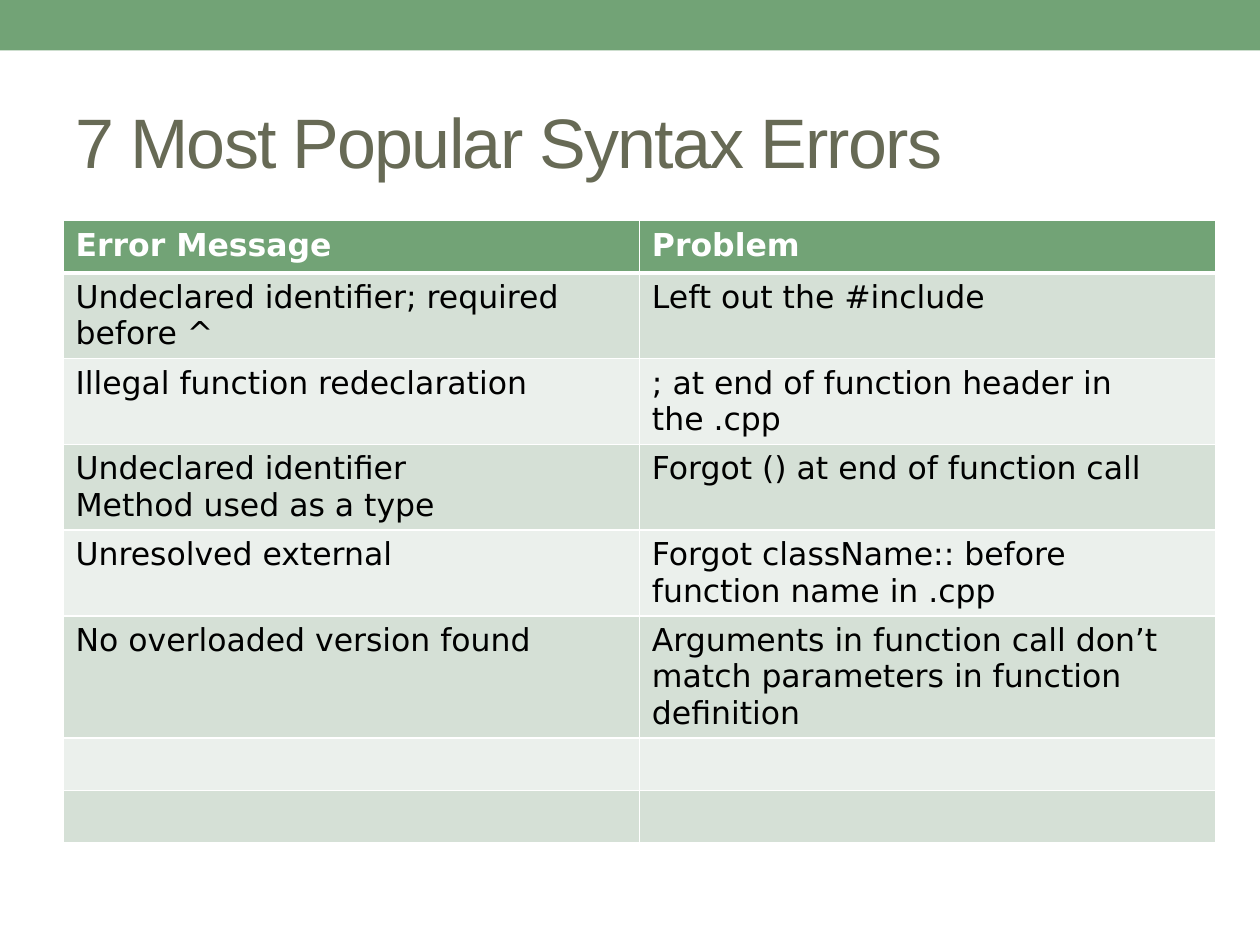
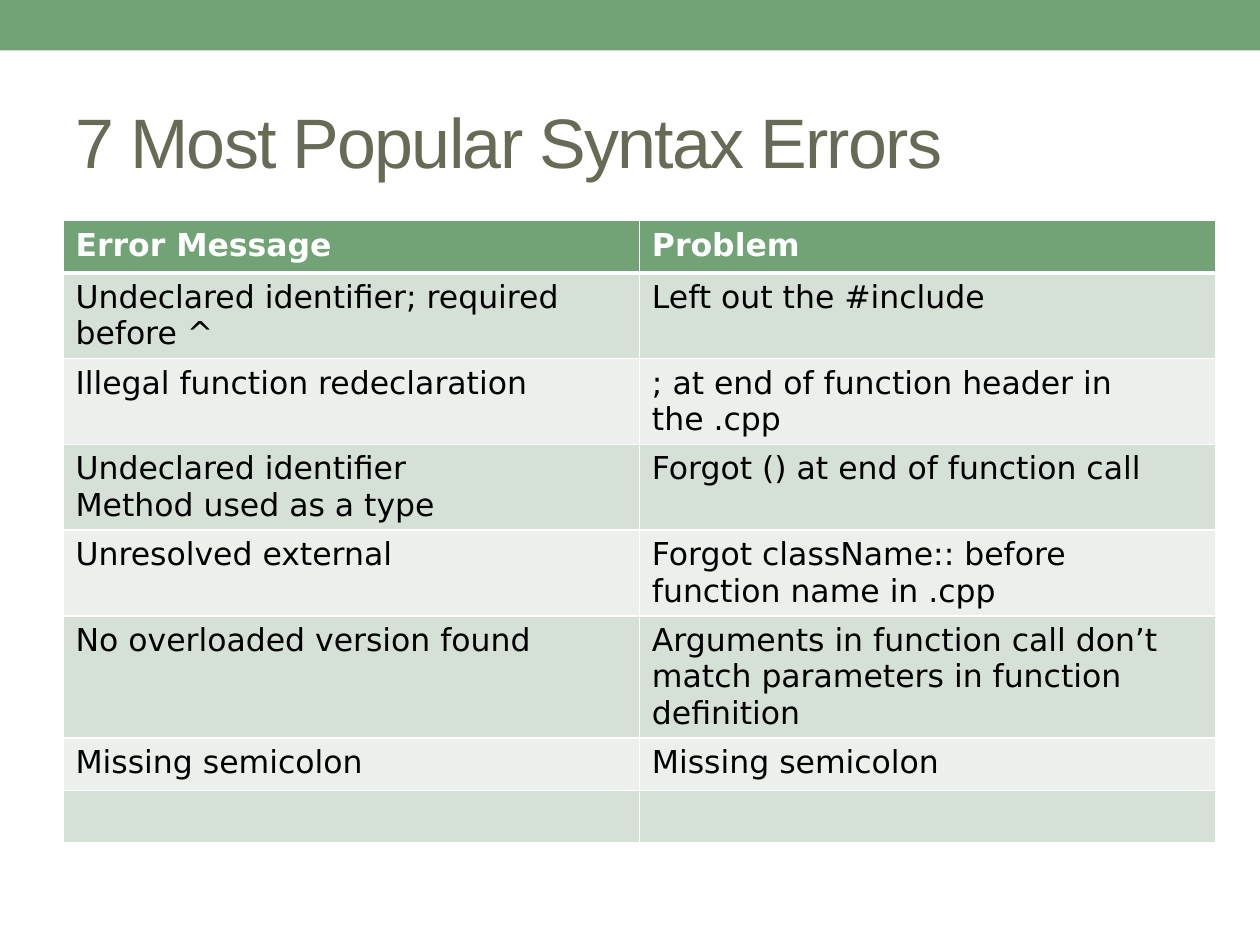
from dataclasses import dataclass

from lxml.etree import SubElement
from pptx import Presentation
from pptx.dml.color import RGBColor
from pptx.enum.shapes import MSO_SHAPE as Shape
from pptx.enum.text import MSO_ANCHOR as Anchor, PP_ALIGN as Align
from pptx.oxml.ns import qn
from pptx.util import Cm, Pt

# Shared look
GREEN = RGBColor(0x72, 0xA3, 0x76)
OLIVE = RGBColor(0x67, 0x6A, 0x55)
WHITE = RGBColor(0xFF, 0xFF, 0xFF)
BLACK = RGBColor(0x00, 0x00, 0x00)
ROW_TINTS = (RGBColor(0xD5, 0xE0, 0xD6), RGBColor(0xEB, 0xF0, 0xEC))
TITLE_FONT, TABLE_FONT = "Arial", "DejaVu Sans"

SLIDE_WIDTH, SLIDE_HEIGHT = Cm(25.4), Cm(19.05)
BAND_HEIGHT = Cm(1.02)
MARGIN = Cm(1.27)
TABLE_TOP, TABLE_HEIGHT = Cm(4.45), Cm(10.49)
COLUMN_WIDTH, ROW_HEIGHT = Cm(11.62), Cm(1.05)
HEADER_BORDERS = {"a:lnL": 1, "a:lnR": 1, "a:lnT": 1, "a:lnB": 3}


@dataclass(frozen=True)
class SyntaxError_:
    message: str = ""
    problem: str = ""


# Content
TITLE = "7 Most Popular Syntax Errors"
HEADER = SyntaxError_("Error Message", "Problem")
KNOWN_ERRORS = [
    SyntaxError_("Undeclared identifier; required before ^", "Left out the #include"),
    SyntaxError_("Illegal function redeclaration", "; at end of function header in the .cpp"),
    SyntaxError_("Undeclared identifier\nMethod used as a type", "Forgot () at end of function call"),
    SyntaxError_("Unresolved external", "Forgot className:: before function name in .cpp"),
    SyntaxError_("No overloaded version found",
                 "Arguments in function call don’t match parameters in function definition"),
]
MISSING_SEMICOLON = SyntaxError_("Missing semicolon", "Missing semicolon")
UNREVEALED = SyntaxError_()


def style_runs(text_frame, font_name: str, size: int, color: RGBColor, bold: bool = False) -> None:
    for paragraph in text_frame.paragraphs:
        for run in paragraph.runs:
            run.font.name = font_name
            run.font.size = Pt(size)
            run.font.bold = bold
            run.font.color.rgb = color


def add_band(slide, layout) -> None:
    """Draw the top band, then move it to the layout that all slides share."""
    band = slide.shapes.add_shape(Shape.RECTANGLE, 0, 0, SLIDE_WIDTH, BAND_HEIGHT)
    band.shadow.inherit = False
    band.fill.solid()
    band.fill.fore_color.rgb = GREEN
    band.line.fill.background()
    layout.shapes.element.insert(2, band.element)


def set_title(slide, text: str) -> None:
    title = slide.shapes.title
    title.left, title.top, title.width, title.height = MARGIN, Cm(1.47), Cm(22.86), Cm(2.74)
    frame = title.text_frame
    frame.text = text
    frame.vertical_anchor = Anchor.MIDDLE
    frame.paragraphs[0].alignment = Align.LEFT
    style_runs(frame, TITLE_FONT, 40, OLIVE)
    for run in frame.paragraphs[0].runs:
        run.font._element.set("spc", "-100")


def add_header_borders(cell) -> None:
    properties = cell._tc.get_or_add_tcPr()
    for side, points in HEADER_BORDERS.items():
        border = SubElement(properties, qn(side), w=str(Pt(points)))
        fill = SubElement(border, qn("a:solidFill"))
        SubElement(fill, qn("a:srgbClr"), val=str(WHITE))


def add_error_table(slide, errors: list[SyntaxError_]) -> None:
    entries = [HEADER, *errors]
    frame = slide.shapes.add_table(len(entries), 2, MARGIN, TABLE_TOP, 2 * COLUMN_WIDTH, TABLE_HEIGHT)
    table = frame.table
    for column in table.columns:
        column.width = COLUMN_WIDTH
    for index, (row, entry) in enumerate(zip(table.rows, entries)):
        row.height = ROW_HEIGHT
        is_header = index == 0
        for cell, text in zip(row.cells, (entry.message, entry.problem)):
            if is_header:
                add_header_borders(cell)
            cell.fill.solid()
            cell.fill.fore_color.rgb = GREEN if is_header else ROW_TINTS[(index - 1) % 2]
            cell.text_frame.text = text
            style_runs(cell.text_frame, TABLE_FONT, 18, WHITE if is_header else BLACK, is_header)
    frame.height = TABLE_HEIGHT


# Build: each slide reveals one more error
deck = Presentation()
deck.slide_width, deck.slide_height = SLIDE_WIDTH, SLIDE_HEIGHT
title_only = deck.slide_layouts.get_by_name("Title Only")

for number, sixth_error in enumerate((UNREVEALED, MISSING_SEMICOLON)):
    errors_slide = deck.slides.add_slide(title_only)
    if number == 0:
        add_band(errors_slide, title_only)
    set_title(errors_slide, TITLE)
    add_error_table(errors_slide, [*KNOWN_ERRORS, sixth_error, UNREVEALED])

deck.save("out.pptx")
